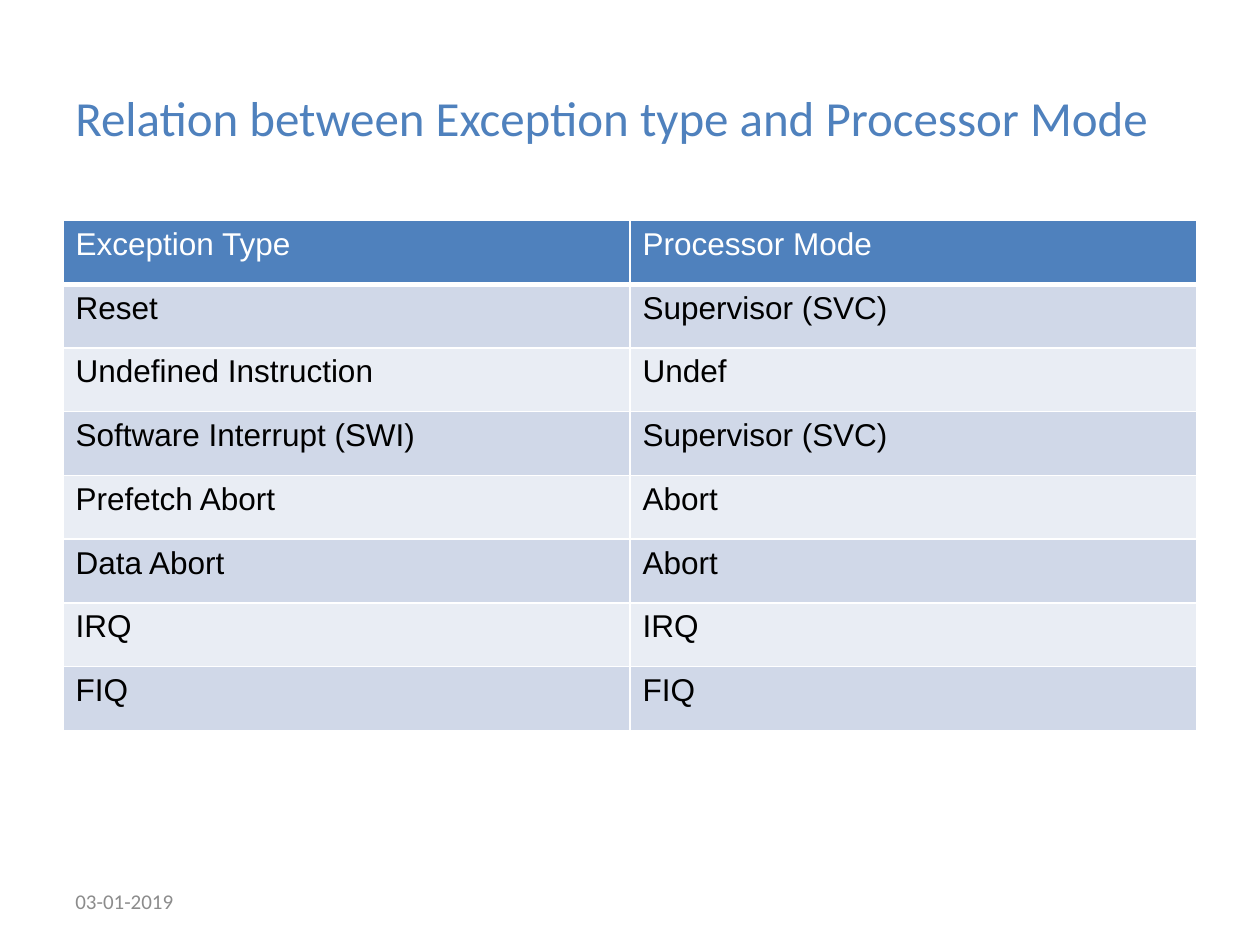
from dataclasses import dataclass

from lxml import etree
from pptx import Presentation
from pptx.dml.color import RGBColor
from pptx.enum.text import MSO_ANCHOR
from pptx.oxml.ns import qn
from pptx.util import Inches, Pt

MIDDLE = MSO_ANCHOR.MIDDLE


@dataclass(frozen=True)
class Theme:
    accent: str = "4F81BD"
    band_dark: str = "D0D8E8"
    band_light: str = "E9EDF4"
    white: str = "FFFFFF"
    black: str = "000000"
    grey: str = "8C8C8C"
    heading_font: str = "Calibri"
    table_font: str = "Arial"
    title_size: int = 28
    table_size: int = 18
    date_size: int = 12
    border: int = 1
    header_border: int = 3


@dataclass(frozen=True)
class Box:
    left: float
    top: float
    width: float
    height: float

    def lengths(self) -> list:
        return [Inches(v) for v in (self.left, self.top, self.width, self.height)]


@dataclass(frozen=True)
class Mapping:
    exception: str
    mode: str


THEME = Theme()
TITLE_BOX = Box(0.5, 0.3, 9, 1.25)
TABLE_BOX = Box(0.5, 1.75, 9, 4.05)
DATE_BOX = Box(0.5, 6.95, 2.33, 0.4)
HEADER = Mapping("Exception Type", "Processor Mode")
MAPPINGS = [
    Mapping("Reset", "Supervisor (SVC)"),
    Mapping("Undefined Instruction", "Undef"),
    Mapping("Software Interrupt (SWI)", "Supervisor (SVC)"),
    Mapping("Prefetch Abort", "Abort"),
    Mapping("Data Abort", "Abort"),
    Mapping("IRQ", "IRQ"),
    Mapping("FIQ", "FIQ"),
]


def write_text(tf, text: str, *, size: int, font: str, color: str, bold: bool = False) -> None:
    r = tf.paragraphs[0].add_run()
    r.text = text
    r.font.size = Pt(size)
    r.font.name = font
    r.font.bold = bold
    r.font.color.rgb = RGBColor.from_string(color)


def add_text(slide, box: Box, text: str, **text_format) -> None:
    tf = slide.shapes.add_textbox(*box.lengths()).text_frame
    tf.word_wrap = True
    tf.vertical_anchor = MIDDLE
    write_text(tf, text, **text_format)


def set_borders(cell, color: str, bottom: int) -> None:
    """Add the four edges; they must precede the fill in the cell properties."""
    tc_pr = cell._tc.get_or_add_tcPr()
    for side in "LRTB":
        width = bottom if side == "B" else THEME.border
        ln = etree.SubElement(tc_pr, qn(f"a:ln{side}"), w=str(Pt(width)))
        fill = etree.SubElement(ln, qn("a:solidFill"))
        etree.SubElement(fill, qn("a:srgbClr"), val=color)


def style_cell(cell, text: str, *, fill: str, color: str, bottom: int) -> None:
    set_borders(cell, THEME.white, bottom)
    cell.fill.solid()
    cell.fill.fore_color.rgb = RGBColor.from_string(fill)
    write_text(cell.text_frame, text, size=THEME.table_size,
               font=THEME.table_font, color=color)


def add_mode_table(slide, box: Box, header: Mapping, mappings: list[Mapping]) -> None:
    rows = [header, *mappings]
    table = slide.shapes.add_table(len(rows), 2, *box.lengths()).table
    for row in table.rows:
        row.height = Inches(box.height / len(rows))
    for i, mapping in enumerate(rows):
        if i == 0:
            look = dict(fill=THEME.accent, color=THEME.white, bottom=THEME.header_border)
        else:
            band = THEME.band_dark if i % 2 else THEME.band_light
            look = dict(fill=band, color=THEME.black, bottom=THEME.border)
        for j, text in enumerate((mapping.exception, mapping.mode)):
            style_cell(table.cell(i, j), text, **look)


def main() -> None:
    prs = Presentation()
    prs.slide_width, prs.slide_height = Inches(10), Inches(7.5)
    slide = prs.slides.add_slide(prs.slide_layouts[6])
    add_text(slide, TITLE_BOX, "Relation between Exception type and Processor Mode",
             size=THEME.title_size, font=THEME.heading_font, color=THEME.accent)
    add_mode_table(slide, TABLE_BOX, HEADER, MAPPINGS)
    add_text(slide, DATE_BOX, "03-01-2019",
             size=THEME.date_size, font=THEME.heading_font, color=THEME.grey)
    prs.save("out.pptx")


if __name__ == "__main__":
    main()
